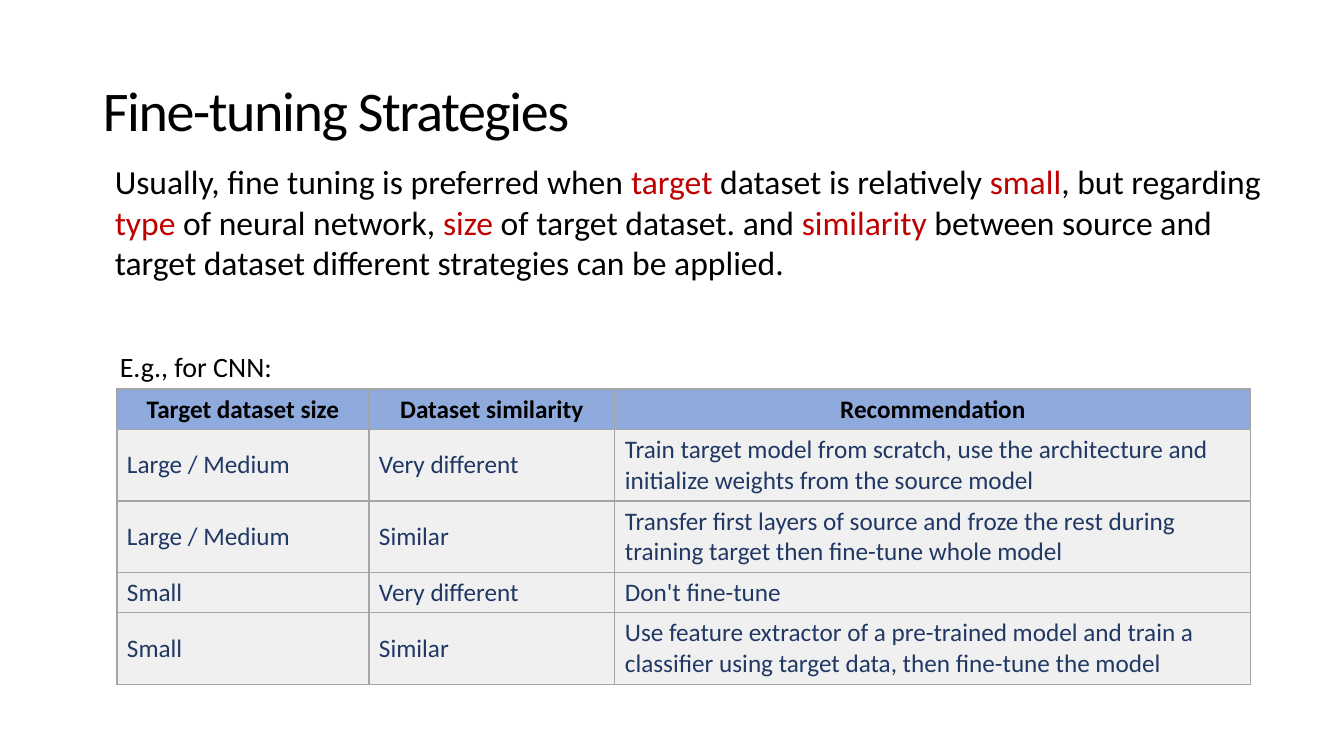
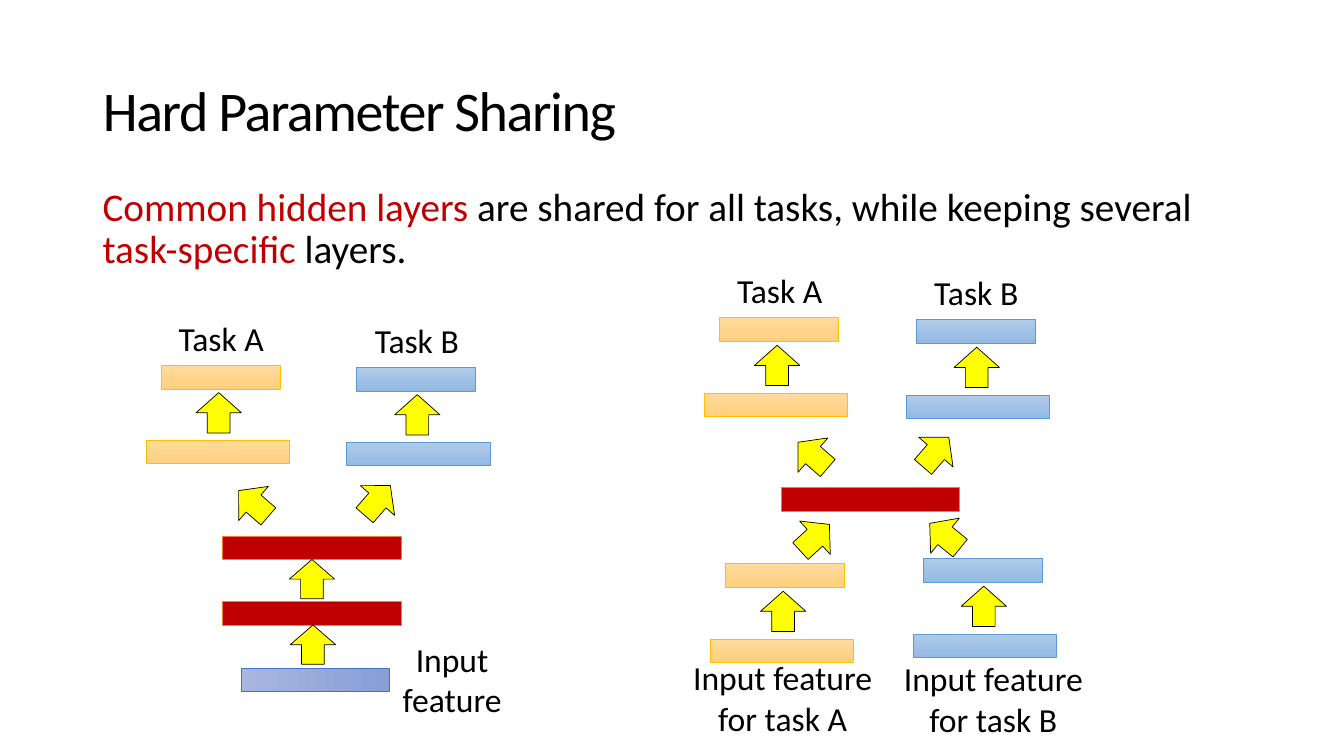
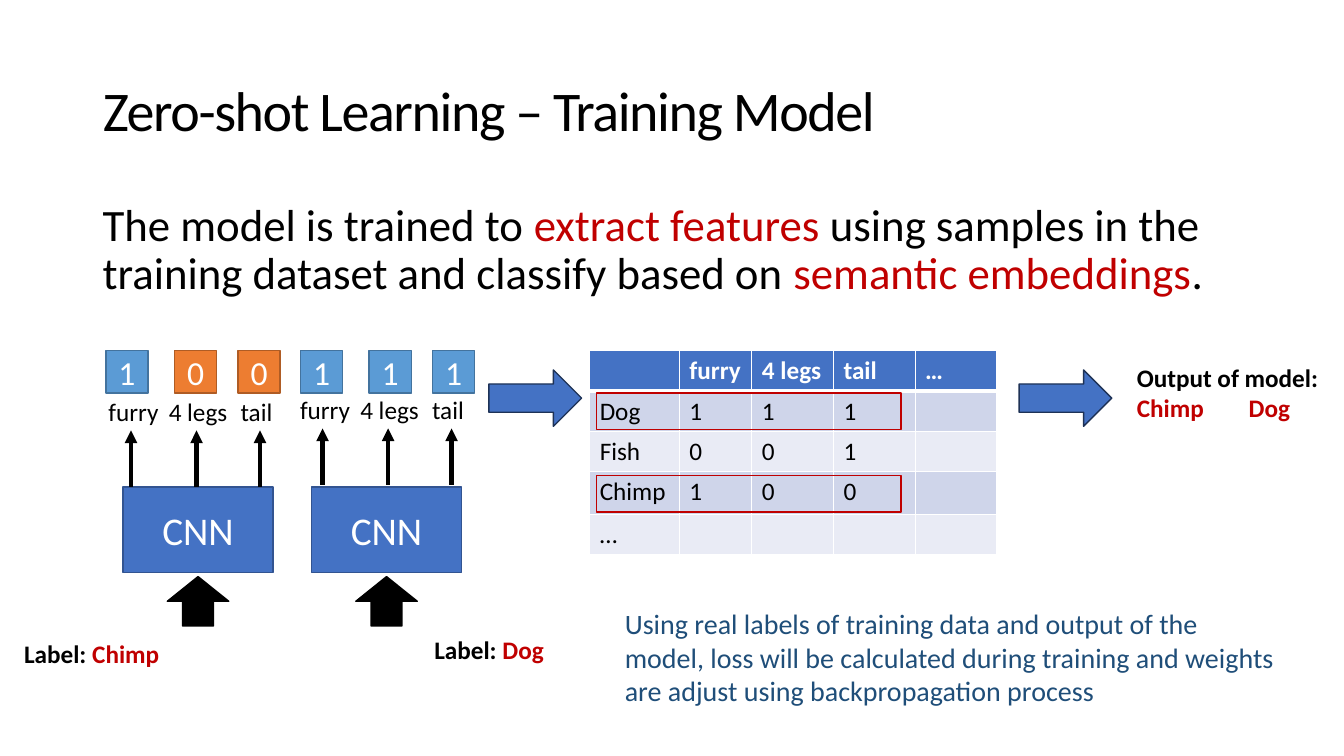
from lxml import etree
from pptx import Presentation
from pptx.dml.color import RGBColor
from pptx.enum.shapes import MSO_CONNECTOR, MSO_SHAPE
from pptx.enum.text import MSO_ANCHOR, PP_ALIGN
from pptx.oxml.ns import qn
from pptx.util import Pt

PX = 9144  # 100 px to the inch
FONT = "Calibri"
LEFT, CENTER = PP_ALIGN.LEFT, PP_ALIGN.CENTER
TOP, MIDDLE = MSO_ANCHOR.TOP, MSO_ANCHOR.MIDDLE
RECT, RIGHT_ARROW, UP_ARROW = MSO_SHAPE.RECTANGLE, MSO_SHAPE.RIGHT_ARROW, MSO_SHAPE.UP_ARROW
STRAIGHT = MSO_CONNECTOR.STRAIGHT

COLORS = {
    "black": "000000", "white": "FFFFFF", "accent": "C00000", "yellow": "FFFF00",
    "blue": "4472C4", "blue_edge": "325491", "arrow_edge": "1E3256",
    "sky": "5B9BD5", "sky_edge": "43739E", "orange": "ED7D31", "orange_edge": "AF5C24",
    "gold": "FFC000", "gold_light": "FFDB9E", "gold_dark": "FFD07C",
    "sky_light": "B1CBE9", "sky_dark": "93B9E4",
    "input_light": "A8B7DF", "input_dark": "889ED7",
    "note": "1F4E79", "navy": "203864", "grid": "A5A5A5",
    "strategy_head": "8FAADC", "strategy_row": "F0F0F0",
    "band_dark": "CFD5EA", "band_light": "E9EBF5",
}
RGB = {name: RGBColor.from_string(value) for name, value in COLORS.items()}


def write_text(frame, text, size=18, color="black", bold=False, align=LEFT,
               anchor=TOP, line_spacing=None, tracking=None):
    """Fill a text frame; parts between asterisks take the accent colour."""
    frame.word_wrap = True
    frame.vertical_anchor = anchor
    for index, line in enumerate(text.split("\n")):
        paragraph = frame.add_paragraph() if index else frame.paragraphs[0]
        paragraph.alignment = align
        paragraph.line_spacing = line_spacing
        for part, words in enumerate(line.split("*")):
            if not words:
                continue
            run = paragraph.add_run()
            run.text = words
            run.font.name, run.font.size, run.font.bold = FONT, Pt(size), bold
            run.font.color.rgb = RGB["accent" if part % 2 else color]
            if tracking:
                run.font._element.set("spc", str(tracking))


def place(slide, kind, box, fill=None, line="black", width=1, rotation=0):
    """Add a shape, or a text box when kind is None; a pair of fills is a gradient."""
    box = [length * PX for length in box]
    if kind is None:
        return slide.shapes.add_textbox(*box)
    shape = slide.shapes.add_shape(kind, *box)
    shape.shadow.inherit = False
    shape.rotation = rotation
    if fill is None:
        shape.fill.background()
    elif isinstance(fill, tuple):
        shape.fill.gradient()
        shape.fill.gradient_angle = 270
        for stop, name in zip(shape.fill.gradient_stops, fill):
            stop.color.rgb = RGB[name]
    else:
        shape.fill.solid()
        shape.fill.fore_color.rgb = RGB[fill]
    shape.line.color.rgb = RGB[line]
    shape.line.width = Pt(width)
    return shape


deck = Presentation()
deck.slide_width, deck.slide_height = 12192000, 6858000

slides = []
for heading in ("Fine-tuning Strategies", "Hard Parameter Sharing",
                "Zero-shot Learning – Training Model"):
    slide = deck.slides.add_slide(deck.slide_layouts[5])
    title = slide.shapes.title
    title.left, title.top, title.width, title.height = 92 * PX, 40 * PX, 1150 * PX, 145 * PX
    write_text(title.text_frame, heading, size=40, anchor=MIDDLE,
               line_spacing=0.9, tracking=-100)
    slides.append(slide)
tuning, sharing, zero_shot = slides

# Introductory sentences and notes
for slide, box, text, style in (
    (tuning, (104, 155, 1181, 131),
     "Usually, fine tuning is preferred when *target* dataset is relatively *small*, "
     "but regarding *type* of neural network, *size* of target dataset. and *similarity* "
     "between source and target dataset different strategies can be applied.", {"size": 24}),
    (tuning, (109, 342, 666, 44), "E.g., for CNN:", {"size": 20}),
    (sharing, (92, 181, 1150, 100),
     "*Common hidden layers *are shared for all tasks, while keeping several "
     "*task-specific* layers.", {"size": 28, "line_spacing": 0.9}),
    (zero_shot, (92, 196, 1150, 120),
     "The model is trained to *extract features* using samples in the training dataset "
     "and classify based on *semantic embeddings*.", {"size": 32, "line_spacing": 0.9}),
    (zero_shot, (14, 628, 155, 40), "Label: *Chimp*", {"bold": True}),
    (zero_shot, (421, 624, 155, 40), "Label: *Dog*", {"bold": True}),
    (zero_shot, (610, 597, 669, 111),
     "Using real labels of training data and output of the model, loss will be calculated "
     "during training and weights are adjust using backpropagation process",
     {"size": 20, "color": "note"}),
):
    write_text(place(slide, None, box).text_frame, text, **style)

# Tables
strategies = {
    "slide": tuning, "origin": (116, 386), "columns": (250, 244, 631),
    "heights": (40, 71, 71, 40, 71), "border": "grid", "head_rule": 1,
    "head": "strategy_head", "bands": ("strategy_row", "strategy_row"),
    "head_style": {"bold": True, "align": CENTER}, "body_style": {"color": "navy"},
    "anchor": MIDDLE,
    "rows": (
        ("Target dataset size", "Dataset similarity", "Recommendation"),
        ("Large / Medium", "Very different",
         "Train target model from scratch, use the architecture and initialize weights "
         "from the source model"),
        ("Large / Medium", "Similar",
         "Transfer first layers of source and froze the rest during training target "
         "then fine-tune whole model"),
        ("Small", "Very different", "Don't fine-tune"),
        ("Small", "Similar",
         "Use feature extractor of a pre-trained model and train a classifier using "
         "target data, then fine-tune the model"),
    ),
}
embeddings = {
    "slide": zero_shot, "origin": (585, 348), "columns": (89, 72, 81, 81, 81),
    "heights": (40, 40, 40, 42, 40), "border": "white", "head_rule": 3,
    "head": "blue", "bands": ("band_dark", "band_light"),
    "head_style": {"bold": True, "color": "white"}, "body_style": {}, "anchor": TOP,
    "rows": (
        ("", "furry", "4 legs", "tail", "…"),
        ("Dog", "1", "1", "1", ""),
        ("Fish", "0", "0", "1", ""),
        ("Chimp", "1", "0", "0", ""),
        ("…", "", "", "", ""),
    ),
}
for spec_ in (strategies, embeddings):
    left, top = spec_["origin"]
    columns, heights = spec_["columns"], spec_["heights"]
    table = spec_["slide"].shapes.add_table(
        len(heights), len(columns), left * PX, top * PX,
        sum(columns) * PX, sum(heights) * PX).table
    for column, width in zip(table.columns, columns):
        column.width = width * PX
    for row_index, (row, height) in enumerate(zip(table.rows, heights)):
        row.height = height * PX
        is_head = row_index == 0
        fill = spec_["head"] if is_head else spec_["bands"][(row_index - 1) % 2]
        style = spec_["head_style"] if is_head else spec_["body_style"]
        for cell, text in zip(row.cells, spec_["rows"][row_index]):
            properties = cell._tc.get_or_add_tcPr()
            for side in ("lnL", "lnR", "lnT", "lnB"):
                weight = spec_["head_rule"] if is_head and side == "lnB" else 1
                border = etree.SubElement(properties, qn("a:" + side), w=str(Pt(weight)))
                solid = etree.SubElement(border, qn("a:solidFill"))
                etree.SubElement(solid, qn("a:srgbClr"), val=COLORS[spec_["border"]])
            cell.fill.solid()
            cell.fill.fore_color.rgb = RGB[fill]
            write_text(cell.text_frame, text, **style)
            cell.vertical_anchor = spec_["anchor"]

# Hard parameter sharing: two-layer towers, each placed by its narrow layer
gold = {"fill": ("gold_light", "gold_dark"), "line": "gold", "width": 0.5}
sky = {"fill": ("sky_light", "sky_dark"), "line": "sky", "width": 0.5}
shared = {"fill": "accent", "line": "orange", "width": 0.5}
flow = {"fill": "yellow", "width": 0.5}

for x, y, look, wide_shift, arrow_shift, task in (
    (160, 362, gold, -15, 37, "Task A"), (354, 364, sky, -10, 40, "Task B"),
    (714, 315, gold, -15, 37, "Task A"), (909, 317, sky, -10, 40, "Task B"),
    (720, 559, gold, -15, 37, None), (916, 554, sky, -10, 40, None),
):
    place(sharing, RECT, (x, y, 118, 24), **look)
    place(sharing, RECT, (x + wide_shift, y + 75, 142, 23), **look)
    place(sharing, RIGHT_ARROW, (x + arrow_shift, y + 25, 40, 45), rotation=270, **flow)
    if task:
        label = place(sharing, None, (x - 30, y - 52, 179, 50))
        write_text(label.text_frame, task, size=24, align=CENTER)

for x, y in ((221, 532), (221, 597), (775, 484)):
    place(sharing, RECT, (x, y, 177, 23), **shared)
place(sharing, RECT, (302, 601, 22, 147), ("input_light", "input_dark"), "blue", 0.5, 270)

for x, y, angle in (
    (290, 552, 270), (291, 617, 270), (232, 477, 220.9), (355, 474, 310.9),
    (787, 429, 220.9), (909, 426, 310.9), (789, 511, 317.4), (918, 509, 219.2),
):
    place(sharing, RIGHT_ARROW, (x, y, 39, 45), rotation=angle, **flow)

for box, text in (
    ((359, 629, 179, 91), "Input\nfeature"),
    ((668, 647, 217, 91), "Input feature for task A"),
    ((877, 648, 217, 91), "Input feature for task B"),
):
    write_text(place(sharing, None, box).text_frame, text, size=24, align=CENTER)

# Zero-shot learning: one CNN per training sample, with its predicted features
bit_looks = {"1": ("sky", "sky_edge"), "0": ("orange", "orange_edge")}
for cnn_x, bit_x, arrow_x, label_x, arrow_y, bits in (
    (122, 105, 130, 91, 483, "100"), (309, 298, 320, 281, 481, "111"),
):
    cnn = place(zero_shot, RECT, (cnn_x, 483, 149, 85), "blue", "blue_edge")
    write_text(cnn.text_frame, "CNN", size=28, color="white", align=CENTER, anchor=MIDDLE)
    place(zero_shot, UP_ARROW, (cnn_x + 44, 572, 61, 49), "black")
    for bit, feature, bit_shift, arrow_shift, label_shift in zip(
            bits, ("furry", "4 legs", "tail"), (0, 68, 131), (0, 65, 128), (0, 64, 122)):
        square = place(zero_shot, RECT, (bit_x + bit_shift, 348, 42, 42), *bit_looks[bit])
        write_text(square.text_frame, bit, size=24, color="white", align=CENTER, anchor=MIDDLE)
        label = place(zero_shot, None, (label_x + label_shift, arrow_y - 95, 83, 40))
        write_text(label.text_frame, feature, align=CENTER)
        x = (arrow_x + arrow_shift) * PX
        arrow = zero_shot.shapes.add_connector(
            STRAIGHT, x, arrow_y * PX, x, (arrow_y - 56) * PX)
        arrow.line.color.rgb = RGB["black"]
        arrow.line.width = Pt(3)
        etree.SubElement(arrow.line._get_or_add_ln(), qn("a:tailEnd"), type="triangle")
        etree.SubElement(arrow._element.spPr, qn("a:effectLst"))

for x in (485, 1011):
    place(zero_shot, RIGHT_ARROW, (x, 367, 92, 56), "blue", "arrow_edge")
for y in (472, 390):
    place(zero_shot, RECT, (592, y, 302, 36), line="accent")

output = place(zero_shot, None, (1118, 354, 214, 71)).text_frame
write_text(output, "Output of model:\n*Chimp\tDog*", bold=True)
tabs = etree.SubElement(output.paragraphs[1]._p.get_or_add_pPr(), qn("a:tabLst"))
etree.SubElement(tabs, qn("a:tab"), pos=str(111 * PX), algn="l")

deck.save("out.pptx")
